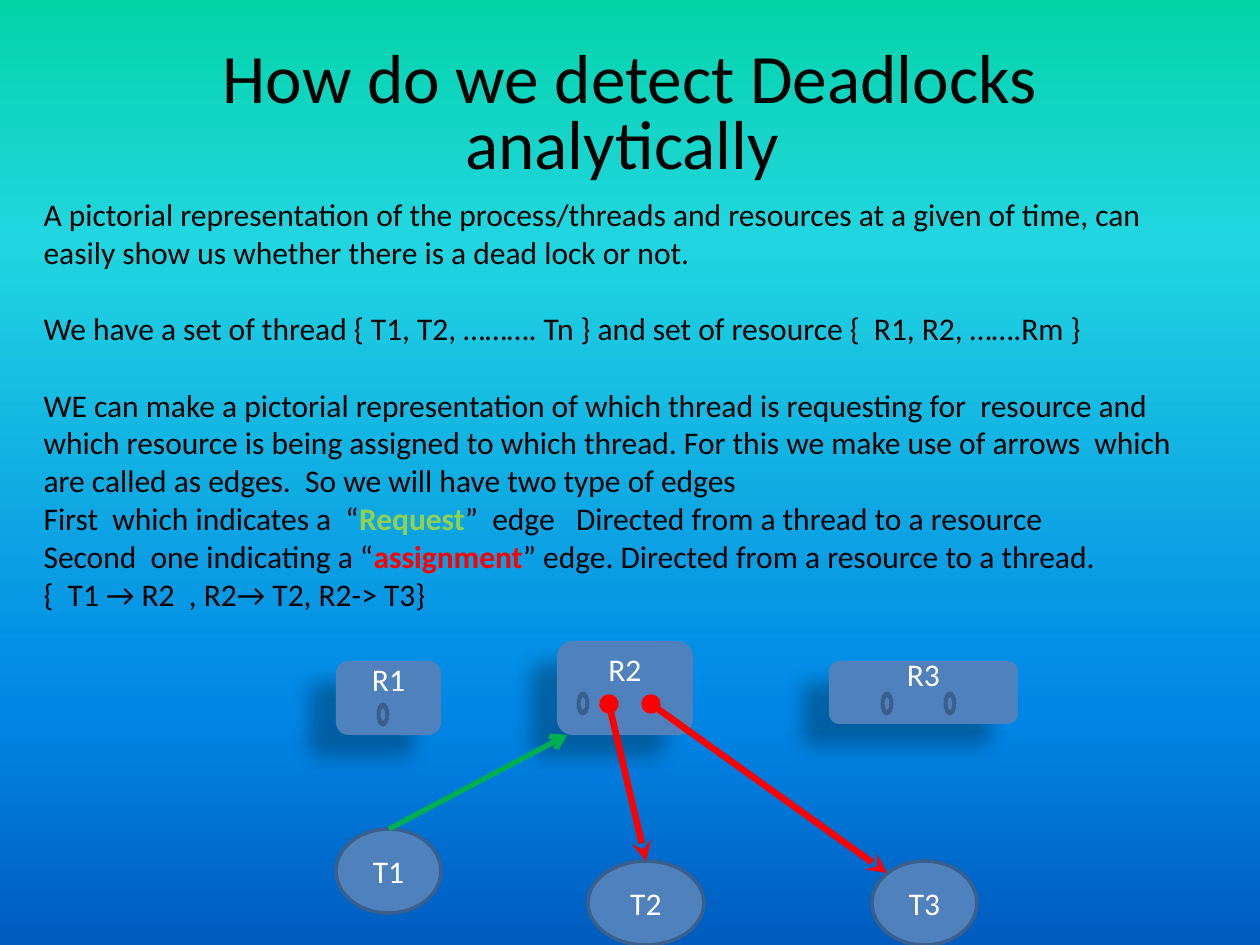
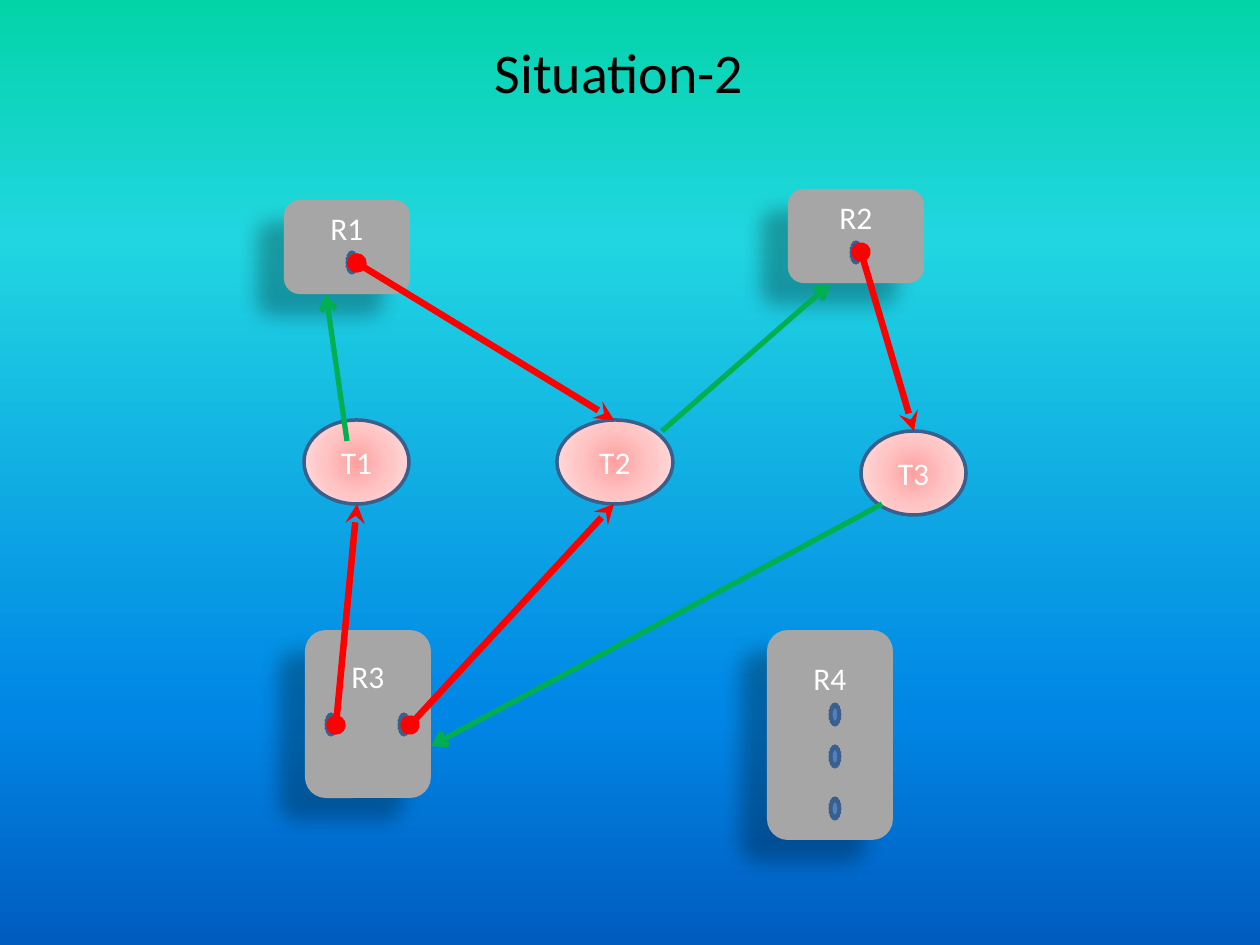
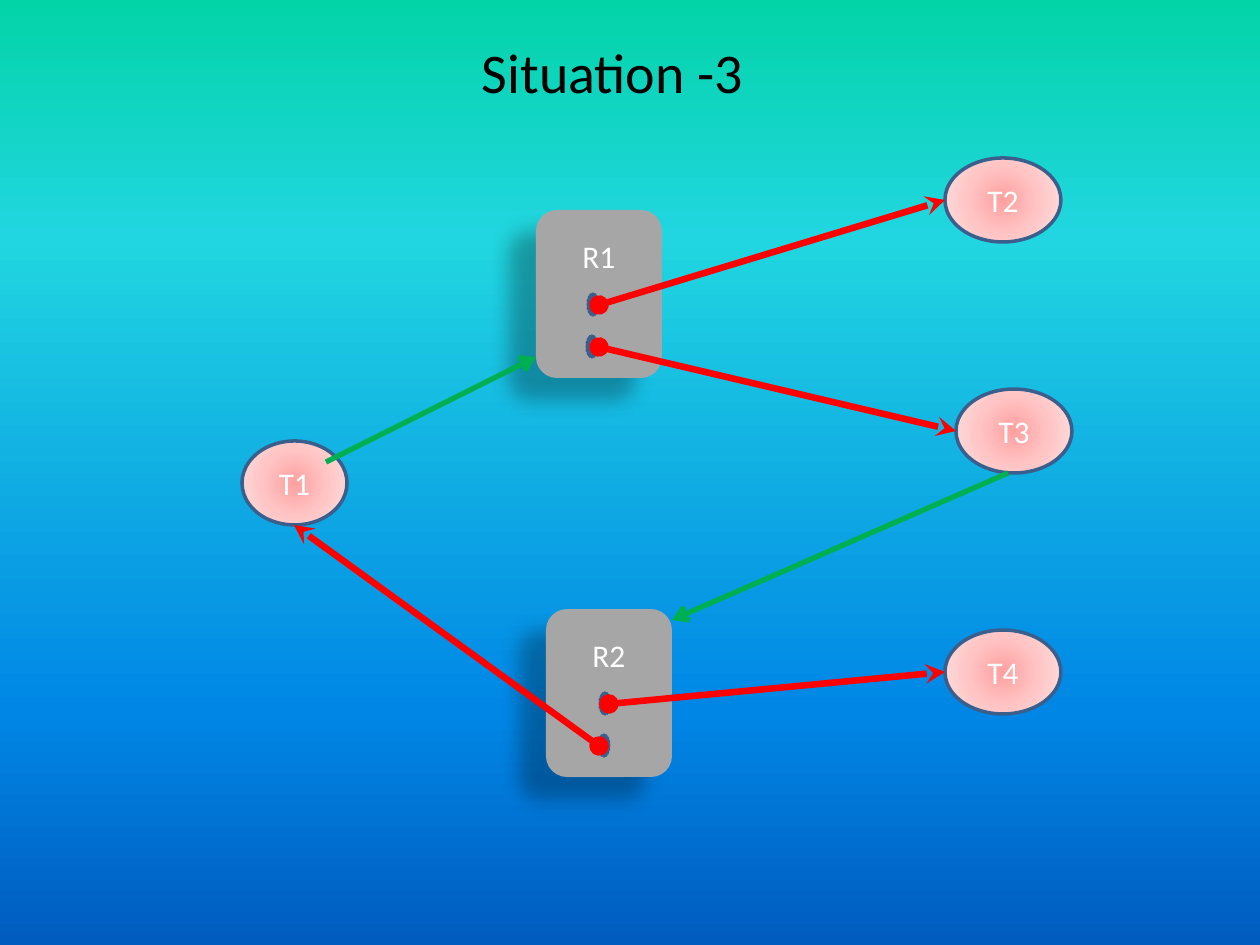
import pptx
import pptx.util
import pptx.dml.color
import pptx.enum.shapes
import pptx.enum.text
import pptx.oxml
import pptx.oxml.ns

SCALE = 914400 / 126
COLORS = {
    "text": "000000", "label": "FFFFFF", "blue": "4F81BD", "outline": "3A5F8C",
    "grey": "A6A6A6", "request": "00B050", "assign": "FF0000", "request_word": "92D050",
}
BACKDROP = [(0, "03D4A8"), (25, "21D6E0"), (75, "0087E6"), (100, "005CBF")]
PINK = [(0, "FFA0A0"), (50, "FFC5C5"), (100, "FFE3E3")]
DOWNWARD = '<a:lin ang="5400000" scaled="0"/>'
RADIAL = ('<a:path path="circle"><a:fillToRect l="50000" t="50000" '
          'r="50000" b="50000"/></a:path>')
RGB = {k: pptx.dml.color.RGBColor.from_string(v) for k, v in COLORS.items()}
NS = pptx.oxml.ns.nsdecls("a")
PT = pptx.util.Pt
MSO = pptx.enum.shapes.MSO_SHAPE
ANCHOR = pptx.enum.text.MSO_ANCHOR
CENTER = pptx.enum.text.PP_ALIGN.CENTER
LEFT = pptx.enum.text.PP_ALIGN.LEFT
LINE = 38
INSET = 6


def px(*values):
    return [round(v * SCALE) for v in values]


def set_gradient(fill, root, stops, direction):
    fill.gradient()
    old = next(root.iter(pptx.oxml.ns.qn("a:gradFill")))
    marks = "".join(f'<a:gs pos="{pos * 1000}"><a:srgbClr val="{c}"/></a:gs>'
                    for pos, c in stops)
    old.getparent().replace(old, pptx.oxml.parse_xml(
        f'<a:gradFill {NS} rotWithShape="1"><a:gsLst>{marks}</a:gsLst>{direction}</a:gradFill>'))


SLIDES = [
    {
        "title": "How do we detect Deadlocks analytically ",
        "title_box": (63, 38, 1134, 157), "size": 39.6, "spacing": 0.8,
        "resource_fill": "blue", "thread_gradient": None,
        "body": [
            (0, [("A pictorial representation of the process/threads and resources at a given "
                  "of time, can easily show us whether there is a dead lock or not.", "text")]),
            (1, [("We have a set of thread { T1, T2, ………. Tn } and set of resource "
                  "{  R1, R2, …….Rm }", "text")]),
            (1, [("WE can make a pictorial representation of which thread is requesting for  "
                  "resource and which resource is being assigned to which thread. For this we "
                  "make use of arrows  which are called as edges.  So we will have two type of "
                  "edges ", "text")]),
            (0, [("First  which indicates a  “", "text"), ("Request", "request_word"),
                 ("”  edge   Directed from a thread to a resource  ", "text")]),
            (0, [("Second  one indicating a “", "text"), ("assignment", "assign"),
                 ("” edge. Directed from a resource to a thread.", "text")]),
            (0, [("{  T1 → R2  , R2→ T2, R2-> T3} ", "text")]),
        ],
        "threads": [(336, 829, 105), (588, 861, 116), (872, 861, 105)],
        "resources": [(336, 661, 105, 74, 1), (557, 641, 136, 94, 1), (829, 661, 189, 63, 1)],
        "instances": [(882, 693), (945, 693), (378, 704), (578, 693)],
        "edges": [("request", 389, 829, 567, 735), ("assign", 609, 704, 646, 861),
                  ("assign", 651, 704, 887, 873)],
    },
    {
        "title": "Situation-2",
        "title_box": (31, 31, 1176, 81), "size": 32, "spacing": 1.0,
        "resource_fill": "grey", "thread_gradient": PINK, "body": [],
        "threads": [(304, 420, 105), (557, 420, 116), (861, 431, 105)],
        "resources": [(284, 200, 126, 94, 1), (788, 189, 136, 94, 1),
                      (305, 630, 126, 168, 2), (767, 630, 126, 210, 3)],
        "instances": [(326, 714), (347, 252), (851, 242), (399, 714),
                      (830, 704), (830, 746), (830, 798)],
        "edges": [("request", 347, 441, 326, 294), ("assign", 357, 263, 614, 420),
                  ("request", 662, 431, 830, 284), ("assign", 861, 252, 914, 431),
                  ("assign", 410, 725, 614, 504), ("assign", 336, 725, 357, 504),
                  ("request", 882, 504, 431, 746)],
    },
    {
        "title": "Situation -3 ",
        "title_box": (31, 31, 1176, 81), "size": 32, "spacing": 1.0,
        "resource_fill": "grey", "thread_gradient": PINK, "body": [],
        "threads": [(242, 441, 105), (945, 158, 116), (956, 389, 116), (945, 630, 116)],
        "resources": [(536, 210, 126, 168, 2), (546, 609, 126, 168, 2)],
        "instances": [(588, 294), (587, 336), (600, 693), (599, 735)],
        "edges": [("request", 326, 462, 536, 357), ("assign", 599, 305, 945, 200),
                  ("assign", 599, 347, 956, 431), ("request", 1008, 473, 672, 620),
                  ("assign", 609, 704, 945, 672), ("assign", 599, 746, 294, 525)],
    },
]
EDGE_STYLES = {"request": (3, {"tailEnd": "arrow"}),
               "assign": (3.75, {"headEnd": "oval", "tailEnd": "stealth"})}

prs = pptx.Presentation()
prs.slide_width, prs.slide_height = px(1260, 945)
master = prs.slide_master
set_gradient(master.background.fill, master.element, BACKDROP, DOWNWARD)

for data in SLIDES:
    s = prs.slides.add_slide(prs.slide_layouts[1 if data["body"] else 5])
    title = s.shapes.title
    title.left, title.top, title.width, title.height = px(*data["title_box"])
    tf = title.text_frame
    for name, value in {"word_wrap": True, "vertical_anchor": ANCHOR.MIDDLE,
                        "auto_size": pptx.enum.text.MSO_AUTO_SIZE.NONE}.items():
        setattr(tf, name, value)
    p = tf.paragraphs[0]
    p.alignment, p.line_spacing = CENTER, data["spacing"]
    r = p.add_run()
    r.text = data["title"]
    r.font.name, r.font.size = "Calibri", PT(data["size"])
    r.font.color.rgb = RGB["text"]

    if data["body"]:
        body = s.placeholders[1]
        body.left, body.top, body.width, body.height = px(31, 189, 1187, 432)
        tf = body.text_frame
        for name, value in {"word_wrap": True, "vertical_anchor": ANCHOR.TOP,
                            "auto_size": pptx.enum.text.MSO_AUTO_SIZE.NONE}.items():
            setattr(tf, name, value)
        for i, (gap, runs) in enumerate(data["body"]):
            p = tf.add_paragraph() if i else tf.paragraphs[0]
            for name, value in {"alignment": LEFT, "space_before": PT(22 * gap),
                                "space_after": PT(0), "line_spacing": 1.0}.items():
                setattr(p, name, value)
            pPr = p._p.get_or_add_pPr()
            pPr.set("marL", "0")
            pPr.set("indent", "0")
            pPr.append(pptx.oxml.parse_xml(f"<a:buNone {NS}/>"))
            for text, color in runs:
                r = p.add_run()
                r.text = text
                r.font.name, r.font.size = "Calibri", PT(18)
                r.font.bold = color != "text"
                r.font.color.rgb = RGB[color]

    nodes = [(MSO.OVAL, f"T{i}", (x, y, w, 84), 0)
             for i, (x, y, w) in enumerate(data["threads"], 1)]
    nodes += [(MSO.ROUNDED_RECTANGLE, f"R{i}", (x, y, w, h), rows)
              for i, (x, y, w, h, rows) in enumerate(data["resources"], 1)]
    nodes += [(MSO.STAR_16_POINT, "", (x, y, 10, 21), 0) for x, y in data["instances"]]
    for kind, label, box, rows in nodes:
        sp = s.shapes.add_shape(kind, *px(*box))
        sp.shadow.inherit = False
        if kind == MSO.OVAL and data["thread_gradient"]:
            set_gradient(sp.fill, sp._element, data["thread_gradient"], RADIAL)
        else:
            sp.fill.solid()
            sp.fill.fore_color.rgb = RGB[data["resource_fill"] if rows else "blue"]
        if rows:
            sp.line.fill.background()
            effects = sp._element.spPr.find(pptx.oxml.ns.qn("a:effectLst"))
            effects.append(pptx.oxml.parse_xml(
                f'<a:outerShdw {NS} blurRad="{PT(11.8)}" dist="{PT(19.7)}" dir="8460000" '
                'algn="ctr" rotWithShape="0"><a:srgbClr val="000000">'
                '<a:alpha val="28000"/></a:srgbClr></a:outerShdw>'))
        else:
            sp.line.color.rgb = RGB["outline"]
            sp.line.width = PT(2)
        if label:
            tf = sp.text_frame
            tf.vertical_anchor = ANCHOR.MIDDLE
            tf.margin_top, tf.margin_bottom = px(INSET, INSET + LINE * rows)
            p = tf.paragraphs[0]
            p.alignment = CENTER
            r = p.add_run()
            r.text = label
            r.font.name, r.font.size = "Calibri", PT(18)
            r.font.color.rgb = RGB["label"]

    for kind, *ends in data["edges"]:
        width, heads = EDGE_STYLES[kind]
        edge = s.shapes.add_connector(pptx.enum.shapes.MSO_CONNECTOR.STRAIGHT, *px(*ends))
        edge.line.color.rgb = RGB[kind]
        edge.line.width = PT(width)
        ln = edge.line._get_or_add_ln()
        for tag, head in heads.items():
            ln.append(pptx.oxml.parse_xml(f'<a:{tag} {NS} type="{head}"/>'))
        edge._element.spPr.append(pptx.oxml.parse_xml(f"<a:effectLst {NS}/>"))

prs.save("out.pptx")
